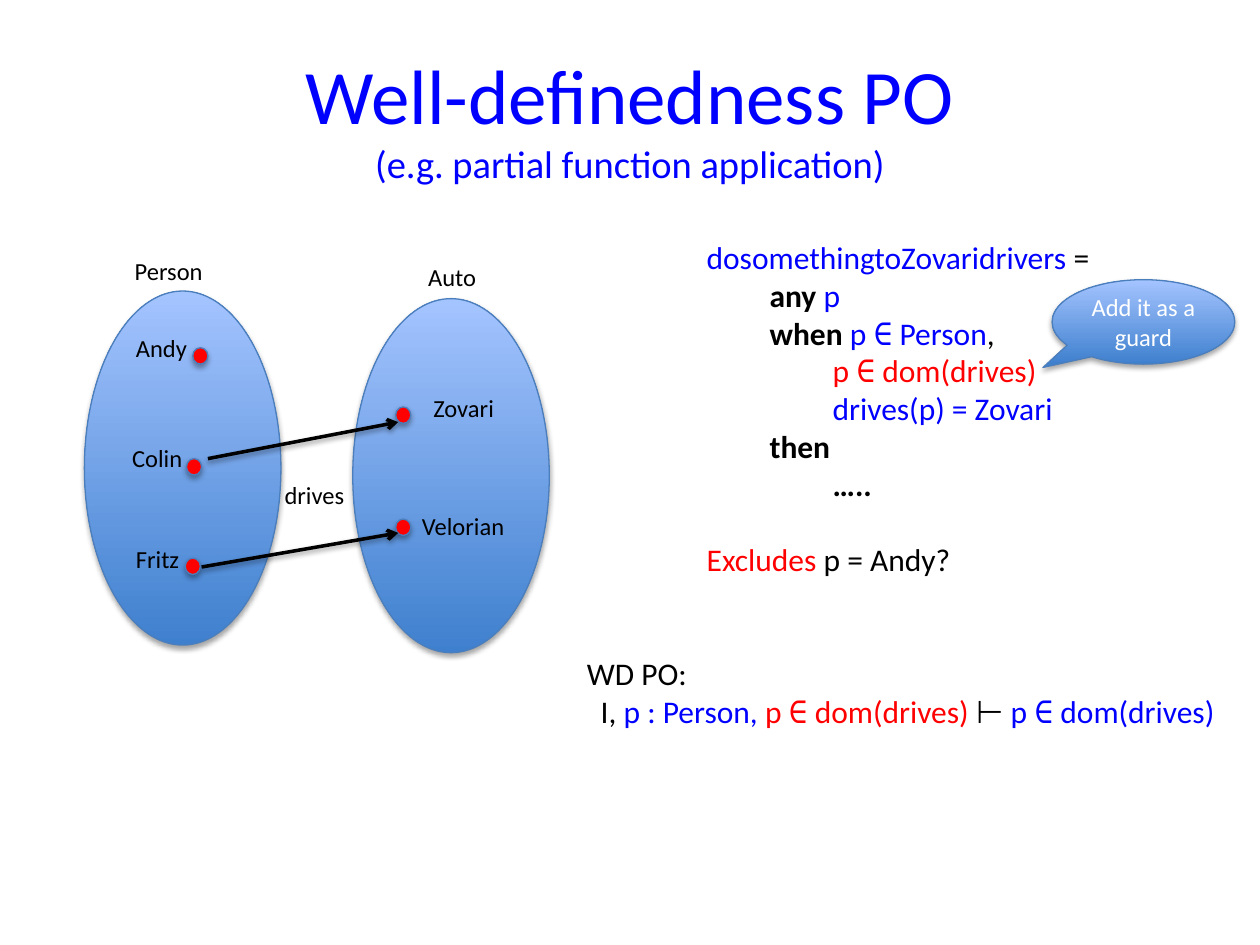
from typing import NamedTuple

from lxml import etree
from pptx import Presentation, util as u
from pptx.dml.color import RGBColor
from pptx.enum import shapes, text
from pptx.oxml.ns import qn

COLS, ROWS = 100, 75
COLORS = {
    "blue": "0000FF", "red": "FF0000", "black": "000000", "white": "FFFFFF",
    "deep": "3F80CE", "pale": "A4C4FF", "edge": "4B7EBC",
}
FONT, SYMBOL_FONT = "Calibri", "DejaVu Sans Mono"
SET_SIZE, DOT_SIZE = (15.6, 28.1), (1.2, 1.3)
LABEL_HEIGHT = 3.4

prs = Presentation()
prs.slide_width, prs.slide_height = u.Inches(10), u.Inches(7.5)
slide = prs.slides.add_slide(prs.slide_layouts[6])


class Box(NamedTuple):
    """Left, top, width and height in grid columns and rows."""
    col: float
    row: float
    cols: float
    rows: float


class Run(NamedTuple):
    text: str
    color: str = "black"
    bold: bool = False
    font: str = FONT


class Para(NamedTuple):
    runs: list[Run]
    indent: float = 0  # inches
    before: float = 0  # points


class Label(NamedTuple):
    text: str
    col: float
    row: float
    cols: float


class Arrow(NamedTuple):
    start: tuple[float, float]
    end: tuple[float, float]


def x(cols: float) -> int:
    return int(prs.slide_width * cols / COLS)


def y(rows: float) -> int:
    return int(prs.slide_height * rows / ROWS)


def place(box: Box) -> tuple[int, int, int, int]:
    return x(box.col), y(box.row), x(box.cols), y(box.rows)


def rgb(name: str) -> RGBColor:
    return RGBColor.from_string(COLORS[name])


def add_shadow(sp, alpha: int, dist: float) -> None:
    """Add a soft shadow that falls straight down."""
    spPr = sp.element.spPr
    effects = spPr.find(qn("a:effectLst"))
    if effects is None:
        effects = etree.SubElement(spPr, qn("a:effectLst"))
    shadow = etree.SubElement(
        effects, qn("a:outerShdw"), blurRad=str(u.Pt(3.1)), dist=str(u.Pt(dist)),
        dir="5400000", rotWithShape="0")
    color = etree.SubElement(shadow, qn("a:srgbClr"), val=COLORS["black"])
    etree.SubElement(color, qn("a:alpha"), val=str(alpha * 1000))


def add_figure(kind: shapes.MSO_SHAPE, box: Box, fill: str | None = None):
    """Add an outlined shape, with the blue gradient unless a fill is given."""
    sp = slide.shapes.add_shape(kind, *place(box))
    if fill:
        sp.fill.solid()
        sp.fill.fore_color.rgb = rgb(fill)
    else:
        sp.fill.gradient()
        sp.fill.gradient_angle = 90
        for stop, name in zip(sp.fill.gradient_stops, ("deep", "pale")):
            stop.color.rgb = rgb(name)
    sp.line.color.rgb = rgb("edge")
    sp.line.width = u.Pt(0.75)
    sp.shadow.inherit = False
    add_shadow(sp, 35, 1.8)
    return sp


def set_font(font, size: float, color: str) -> None:
    font.name, font.size, font.color.rgb = FONT, u.Pt(size), rgb(color)


def add_label(label: Label) -> None:
    sp = slide.shapes.add_textbox(*place(Box(label.col, label.row, label.cols, LABEL_HEIGHT)))
    sp.text_frame.word_wrap = False
    p = sp.text_frame.paragraphs[0]
    p.text = label.text
    set_font(p.font, 14, "black")


def add_text(box: Box, paras: list[Para]) -> None:
    tf = slide.shapes.add_textbox(*place(box)).text_frame
    tf.word_wrap = True
    for i, para in enumerate(paras):
        p = tf.add_paragraph() if i else tf.paragraphs[0]
        if para.indent:
            p._p.get_or_add_pPr().set("marL", str(u.Inches(para.indent)))
        if para.before:
            p.space_before = u.Pt(para.before)
        p.font.size = u.Pt(18)
        for run in para.runs:
            r = p.add_run()
            r.text = run.text
            r.font.name, r.font.bold, r.font.color.rgb = run.font, run.bold, rgb(run.color)


def add_arrow(arrow: Arrow) -> None:
    (x1, y1), (x2, y2) = arrow
    line = slide.shapes.add_connector(shapes.MSO_CONNECTOR.STRAIGHT, x(x1), y(y1), x(x2), y(y2))
    line.line.color.rgb = rgb("black")
    line.line.width = u.Pt(2)
    etree.SubElement(line.element.spPr.find(qn("a:ln")), qn("a:tailEnd"), type="arrow")
    add_shadow(line, 38, 1.6)


def add_title(box: Box, title: str, subtitle: str) -> None:
    tf = slide.shapes.add_textbox(*place(box)).text_frame
    tf.word_wrap = True
    tf.vertical_anchor = text.MSO_ANCHOR.MIDDLE
    p = tf.paragraphs[0]
    p.alignment = text.PP_ALIGN.CENTER
    for i, (words, size) in enumerate(((title, 44), (subtitle, 22))):
        if i:
            p.add_line_break()
        r = p.add_run()
        r.text = words
        set_font(r.font, size, "blue")


def member(color: str, rest: str) -> list[Run]:
    """Runs for 'p ∈ rest' in one colour."""
    return [Run("p ", color), Run("∈", color, font=SYMBOL_FONT), Run(f" {rest}", color)]


SETS = [(6.7, 23.1), (28, 23.7)]
DOTS = [(15.3, 27.6), (14.8, 36.4), (14.7, 44.3), (31.4, 32.3), (31.4, 41.2)]
LABELS = [
    Label("Person", 9.7, 19.8, 7.5), Label("Andy", 9.8, 25.9, 6.1),
    Label("Colin", 9.5, 34.7, 6), Label("Fritz", 9.8, 42.7, 5.5),
    Label("Auto", 33, 20.3, 5.9), Label("Zovari", 33.4, 30.7, 7.2),
    Label("Velorian", 32.5, 40.1, 9.9), Label("drives", 21.6, 37.6, 6.8),
]
ARROWS = [Arrow((16.5, 36.4), (31.6, 33.5)), Arrow((16, 45), (31.6, 42.3))]
EVENT = [
    Para([Run("dosomethingtoZovaridrivers", "blue"), Run(" =")]),
    Para([Run("any ", bold=True), Run("p", "blue")], 0.5),
    Para([Run("when ", bold=True), *member("blue", "Person"), Run(",")], 0.5),
    Para(member("red", "dom(drives)"), 1),
    Para([Run("drives(p) = Zovari", "blue")], 1),
    Para([Run("then", bold=True)], 0.5),
    Para([Run("…..", bold=True)], 1),
    Para([Run("Excludes", "red"), Run(" p = Andy?")], before=21.6),
]
OBLIGATION = [
    Para([Run("WD PO:")]),
    Para([Run("I, "), Run("p : Person, ", "blue"), *member("red", "dom(drives) "),
          Run("⊢ "), *member("blue", "dom(drives)")], 0.11),
]

add_title(Box(5, 3, 90, 12.5), "Well-definedness PO", "(e.g. partial function application)")
for corner in SETS:
    add_figure(shapes.MSO_SHAPE.OVAL, Box(*corner, *SET_SIZE))
for corner in DOTS:
    add_figure(shapes.MSO_SHAPE.OVAL, Box(*corner, *DOT_SIZE), "red")
for label in LABELS:
    add_label(label)
for arrow in ARROWS:
    add_arrow(arrow)
add_text(Box(55.1, 18.4, 35.8, 28.3), EVENT)
add_text(Box(45.6, 51.4, 52.7, 13.1), OBLIGATION)

callout = add_figure(shapes.MSO_SHAPE.OVAL_CALLOUT, Box(83.5, 22.2, 14.5, 6.7))
callout.adjustments[0], callout.adjustments[1] = -0.55, 0.54
callout.text_frame.word_wrap = True
callout.text_frame.vertical_anchor = text.MSO_ANCHOR.MIDDLE
p = callout.text_frame.paragraphs[0]
p.text = "Add it as a guard"
p.alignment = text.PP_ALIGN.CENTER
set_font(p.font, 14, "white")

prs.save("out.pptx")
